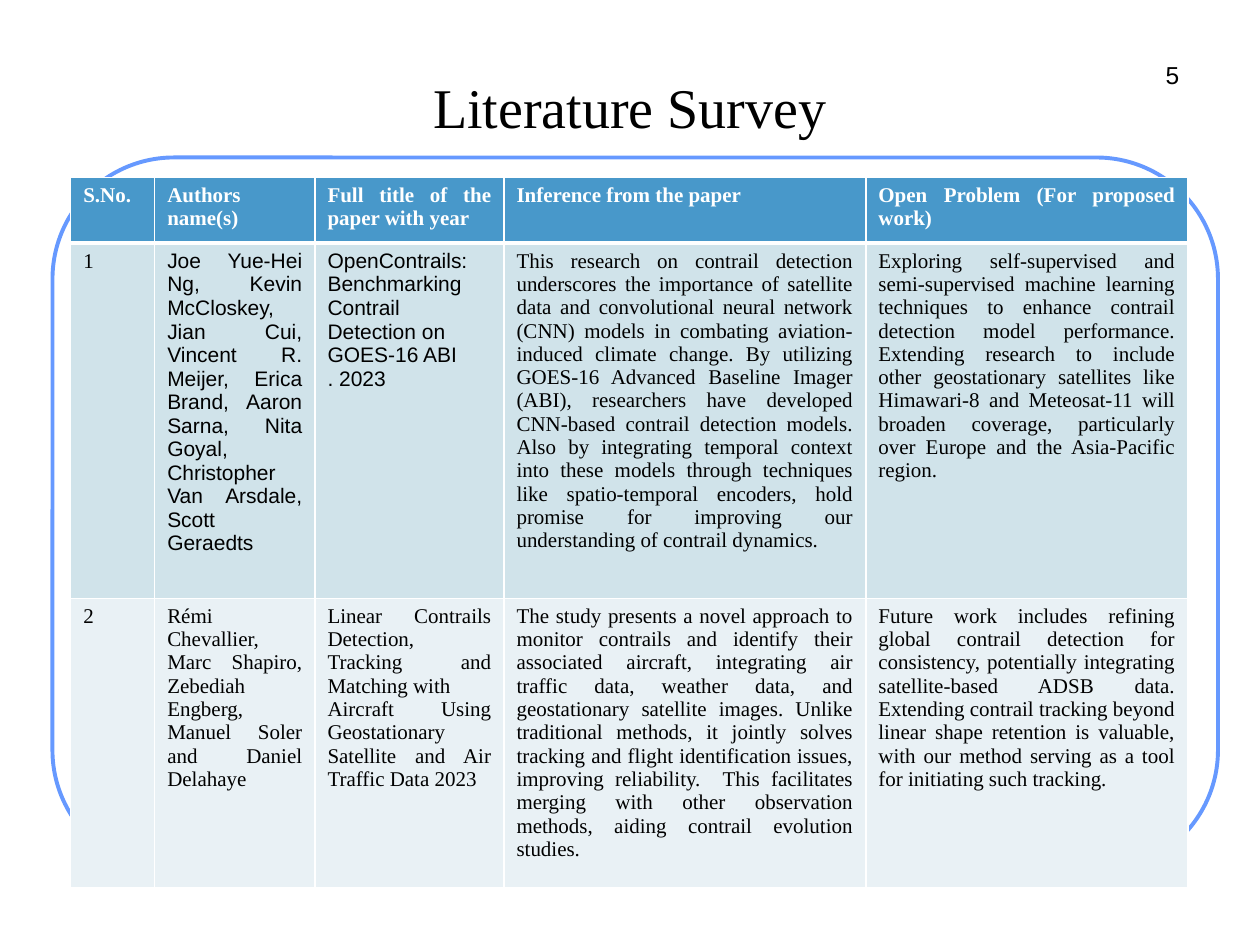
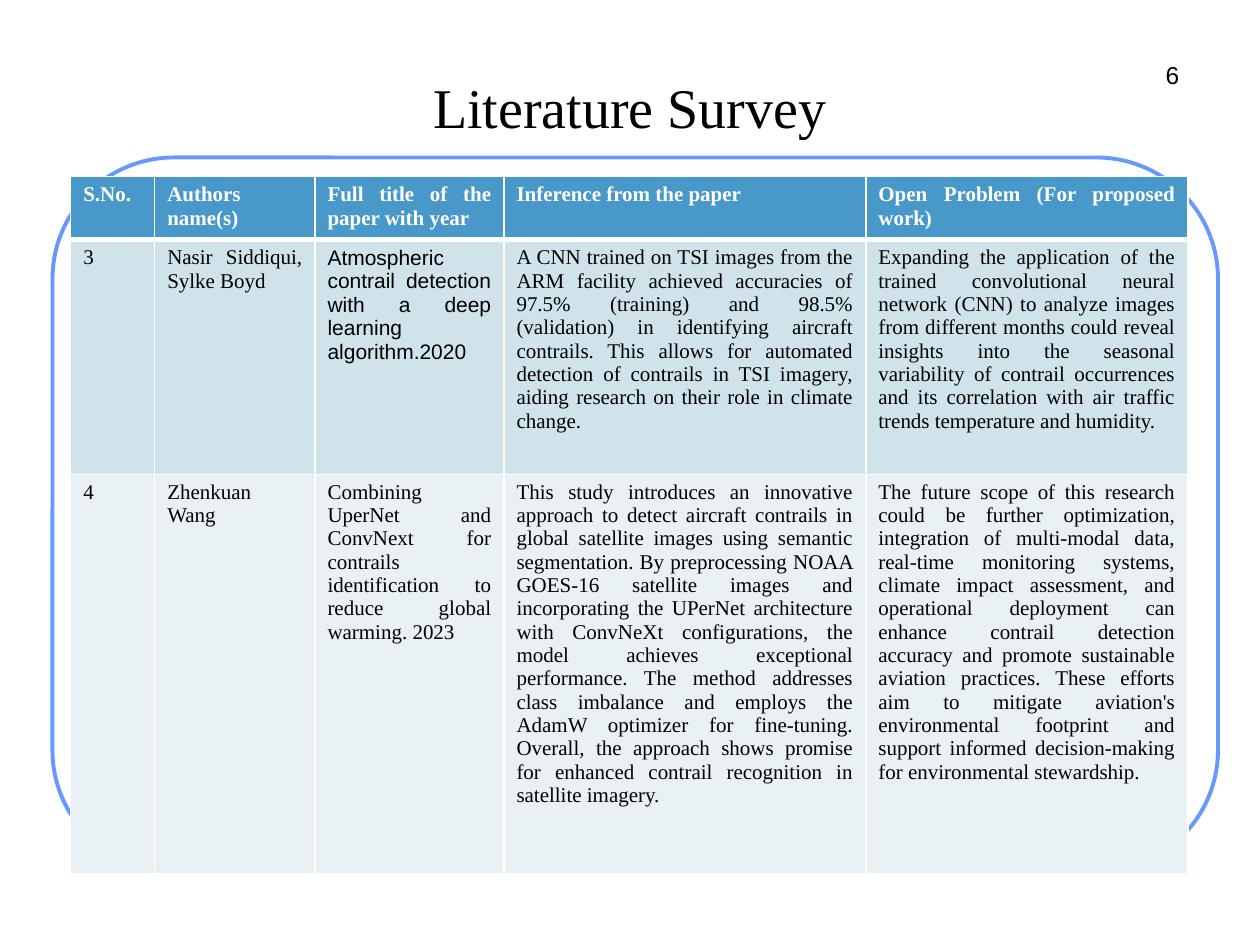
from dataclasses import dataclass

from lxml import etree
from pptx import Presentation
from pptx.dml.color import RGBColor
from pptx.enum.shapes import MSO_SHAPE
from pptx.enum.text import MSO_ANCHOR, MSO_AUTO_SIZE, PP_ALIGN
from pptx.oxml.ns import qn
from pptx.util import Pt

ROUND_RECT = MSO_SHAPE.ROUNDED_RECTANGLE
MIDDLE = MSO_ANCHOR.MIDDLE
GROW = MSO_AUTO_SIZE.SHAPE_TO_FIT_TEXT
CENTER, RIGHT, JUSTIFY = PP_ALIGN.CENTER, PP_ALIGN.RIGHT, PP_ALIGN.JUSTIFY

COLORS = {
    "white": "FFFFFF",
    "black": "000000",
    "frame": "6699FF",
    "header": "4898CA",
    "band_dark": "D0E3EA",
    "band_light": "E9F1F5",
}
SERIF, SANS = "Times New Roman", "Arial"
TITLE_ONLY = 5
INSET = Pt(3.6)
TABLE_LEFT = 40.4
COLUMN_WIDTHS = (48, 91.6, 108, 206.8, 184)
HEADINGS = (
    "S.No.",
    "Authors name(s)",
    "Full title of the paper with year",
    "Inference from the paper",
    "Open Problem (For proposed work)",
)


@dataclass(frozen=True)
class Paper:
    number: str
    authors: str
    title: str
    inference: str
    problem: str
    sans_columns: tuple[int, ...] = ()

    def cells(self) -> tuple[str, ...]:
        return self.number, self.authors, self.title, self.inference, self.problem


@dataclass(frozen=True)
class SurveyPage:
    number: int
    table_top: float
    row_heights: tuple[float, ...]
    papers: tuple[Paper, ...]


PAGES = (
    SurveyPage(5, 101.5, (37.4, 203, 151), (
        Paper(
            "1",
            "Joe Yue-Hei Ng, Kevin McCloskey, Jian Cui, Vincent R. Meijer, "
            "Erica Brand, Aaron Sarna, Nita Goyal,\n"
            "Christopher Van Arsdale, Scott Geraedts",
            "OpenContrails: Benchmarking Contrail Detection on\nGOES-16 ABI\n. 2023",
            "This research on contrail detection underscores the importance of "
            "satellite data and convolutional neural network (CNN) models in "
            "combating aviation-induced climate change. By utilizing GOES-16 "
            "Advanced Baseline Imager (ABI), researchers have developed CNN-based "
            "contrail detection models. Also by integrating temporal context into "
            "these models through techniques like spatio-temporal encoders, hold "
            "promise for improving our understanding of contrail dynamics.",
            "Exploring self-supervised and semi-supervised machine learning "
            "techniques to enhance contrail detection model performance. Extending "
            "research to include other geostationary satellites like Himawari-8 and "
            "Meteosat-11 will broaden coverage, particularly over Europe and the "
            "Asia-Pacific region.",
            sans_columns=(1, 2),
        ),
        Paper(
            "2",
            "Rémi Chevallier, Marc Shapiro, Zebediah Engberg, Manuel Soler and "
            "Daniel Delahaye",
            "Linear Contrails Detection, Tracking and Matching with\n"
            "Aircraft Using Geostationary Satellite and Air Traffic Data 2023",
            "The study presents a novel approach to monitor contrails and identify "
            "their associated aircraft, integrating air traffic data, weather data, "
            "and geostationary satellite images. Unlike traditional methods, it "
            "jointly solves tracking and flight identification issues, improving "
            "reliability.  This facilitates merging with other observation methods, "
            "aiding contrail evolution studies.",
            "Future work includes refining global contrail detection for "
            "consistency, potentially integrating satellite-based ADSB data. "
            "Extending contrail tracking beyond linear shape retention is valuable, "
            "with our method serving as a tool for initiating such tracking.",
        ),
    )),
    SurveyPage(6, 101, (35.2, 134, 228), (
        Paper(
            "3",
            "Nasir Siddiqui, Sylke Boyd",
            "Atmospheric contrail detection with a deep learning algorithm.2020",
            "A CNN trained on TSI images from the ARM facility achieved accuracies "
            "of 97.5% (training) and 98.5% (validation) in identifying aircraft "
            "contrails. This allows for automated detection of contrails in TSI "
            "imagery, aiding research on their role in climate change.",
            "Expanding the application of the trained convolutional neural network "
            "(CNN) to analyze images from different months could reveal insights "
            "into the seasonal variability of contrail occurrences and its "
            "correlation with air traffic trends temperature and humidity.",
            sans_columns=(2,),
        ),
        Paper(
            "4",
            "Zhenkuan Wang",
            "Combining UperNet and ConvNext for contrails identification to reduce "
            "global warming. 2023",
            "This study introduces an innovative approach to detect aircraft "
            "contrails in global satellite images using semantic segmentation. By "
            "preprocessing NOAA GOES-16 satellite images and incorporating the "
            "UPerNet architecture with ConvNeXt configurations, the model achieves "
            "exceptional performance. The method addresses class imbalance and "
            "employs the AdamW optimizer for fine-tuning. Overall, the approach "
            "shows promise for enhanced contrail recognition in satellite imagery.",
            "The future scope of this research could be further optimization, "
            "integration of multi-modal data, real-time monitoring systems, climate "
            "impact assessment, and operational deployment can enhance contrail "
            "detection accuracy and promote sustainable aviation practices. These "
            "efforts aim to mitigate aviation's environmental footprint and support "
            "informed decision-making for environmental stewardship.",
        ),
    )),
)


def rgb(name: str) -> RGBColor:
    return RGBColor.from_string(COLORS[name])


def write(tf, text: str, font: str, size: float, align, color="black", bold=False) -> None:
    tf.text = text
    for p in tf.paragraphs:
        p.alignment = align
        for r in p.runs:
            r.font.name = font
            r.font.size = Pt(size)
            r.font.bold = bold
            r.font.color.rgb = rgb(color)


def set_insets(tf) -> None:
    tf.margin_left = tf.margin_top = tf.margin_right = tf.margin_bottom = INSET


def add_frame(s) -> None:
    sp = s.shapes.add_shape(ROUND_RECT, Pt(30), Pt(90), Pt(666), Pt(408))
    sp.adjustments[0] = 0.17
    sp.shadow.inherit = False
    sp.fill.solid()
    sp.fill.fore_color.rgb = rgb("white")
    sp.line.color.rgb = rgb("frame")
    sp.line.width = Pt(2.25)


def add_page_number(s, number: int) -> None:
    sp = s.shapes.add_textbox(Pt(661.5), Pt(30.5), Pt(16), Pt(23))
    tf = sp.text_frame
    tf.word_wrap = False
    tf.auto_size = GROW
    set_insets(tf)
    write(tf, str(number), SANS, 14, RIGHT)


def format_title(s) -> None:
    sp = s.shapes.title
    sp.left, sp.top, sp.width, sp.height = Pt(90), Pt(29), Pt(540), Pt(63)
    tf = sp.text_frame
    tf.vertical_anchor = MIDDLE
    set_insets(tf)
    write(tf, "Literature Survey", SERIF, 32, CENTER)


def set_borders(cell, top: float, bottom: float) -> None:
    tc_pr = cell._tc.get_or_add_tcPr()
    for tag, width in (("lnL", 1), ("lnR", 1), ("lnT", top), ("lnB", bottom)):
        ln = etree.SubElement(tc_pr, qn(f"a:{tag}"), w=str(Pt(width)))
        fill = etree.SubElement(ln, qn("a:solidFill"))
        etree.SubElement(fill, qn("a:srgbClr"), val=COLORS["white"])


def add_survey_table(s, page: SurveyPage) -> None:
    rows = (HEADINGS, *(paper.cells() for paper in page.papers))
    table = s.shapes.add_table(
        len(rows), len(HEADINGS), Pt(TABLE_LEFT), Pt(page.table_top),
        Pt(sum(COLUMN_WIDTHS)), Pt(sum(page.row_heights)),
    ).table
    for column, width in zip(table.columns, COLUMN_WIDTHS):
        column.width = Pt(width)
    for i, texts in enumerate(rows):
        table.rows[i].height = Pt(page.row_heights[i])
        is_header = i == 0
        sans_columns = () if is_header else page.papers[i - 1].sans_columns
        band = "header" if is_header else ("band_light", "band_dark")[i % 2]
        for j, text in enumerate(texts):
            cell = table.cell(i, j)
            set_borders(cell, 3 if i == 1 else 1, 3 if is_header else 1)
            cell.fill.solid()
            cell.fill.fore_color.rgb = rgb(band)
            write(cell.text_frame, text, SANS if j in sans_columns else SERIF, 12,
                  JUSTIFY, "white" if is_header else "black", is_header)


def main() -> None:
    prs = Presentation()
    prs.slide_width, prs.slide_height = Pt(720), Pt(540)
    for page in PAGES:
        s = prs.slides.add_slide(prs.slide_layouts[TITLE_ONLY])
        add_frame(s)
        add_page_number(s, page.number)
        format_title(s)
        add_survey_table(s, page)
    prs.save("out.pptx")


if __name__ == "__main__":
    main()
